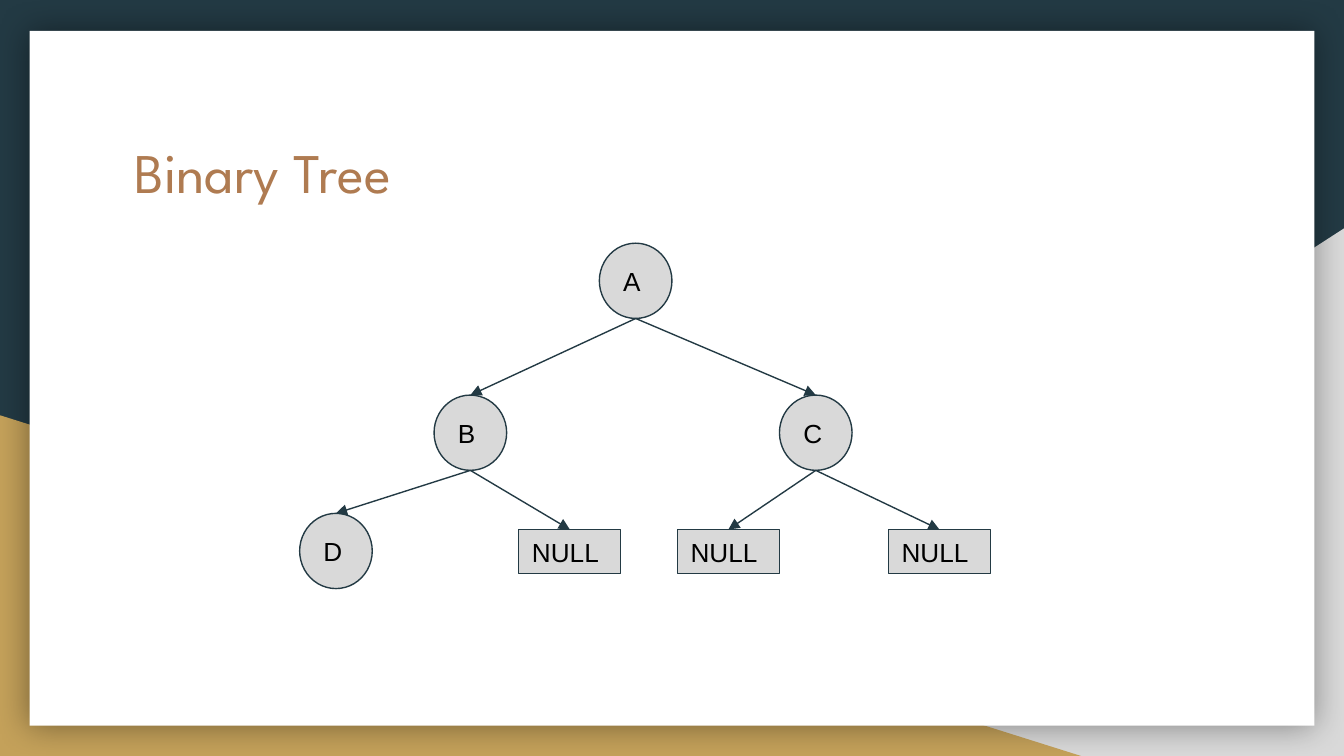
from dataclasses import dataclass
from typing import Optional

from lxml.etree import SubElement
from pptx import Presentation
from pptx.dml.color import RGBColor
from pptx.enum.shapes import MSO_CONNECTOR as Connector, MSO_SHAPE as Shape
from pptx.enum.text import MSO_ANCHOR as Anchor, MSO_AUTO_SIZE as AutoSize, PP_ALIGN as Align
from pptx.oxml.ns import qn
from pptx.util import Inches, Pt

NAVY, GOLD, GREY, WHITE, BLACK, COPPER = "233A44", "C4A15A", "D9D9D9", "FFFFFF", "000000", "AF7B51"
TOP = 0
CIRCLE_SIZE = (0.54, 0.56)
NULL_SIZE = (0.76, 0.33)


@dataclass
class Panel:
    kind: Shape
    left: float
    top: float
    width: float
    height: float
    color: str
    flipped: bool = False


@dataclass
class Node:
    """A tree node, placed by the middle of its top edge."""
    label: str
    x: float
    top: float
    parent: Optional[int] = None

    @property
    def is_null(self) -> bool:
        return self.label == "NULL"

    @property
    def size(self) -> tuple:
        return NULL_SIZE if self.is_null else CIRCLE_SIZE

    @property
    def bottom(self) -> float:
        return self.top + self.size[1]


PANELS = [
    Panel(Shape.RIGHT_TRIANGLE, 3.92, 1.7, 6.08, 3.93, GREY, flipped=True),
    Panel(Shape.RIGHT_TRIANGLE, 0, 3.09, 8.06, 2.54, GOLD),
    Panel(Shape.RECTANGLE, 0.22, 0.23, 9.56, 5.17, WHITE),
]

NODES = [
    Node("A", 4.73, 1.81),
    Node("B", 3.5, 2.94, parent=0),
    Node("C", 6.07, 2.94, parent=0),
    Node("D", 2.5, 3.82, parent=1),
    Node("NULL", 4.24, 3.94, parent=1),
    Node("NULL", 5.42, 3.94, parent=2),
    Node("NULL", 6.99, 3.94, parent=2),
]


def rgb(color: str) -> RGBColor:
    return RGBColor.from_string(color)


def set_text(sp, text: str, size: float, font: str, color: str, anchor: Anchor) -> None:
    tf = sp.text_frame
    frame_format = {"word_wrap": True, "auto_size": AutoSize.NONE, "vertical_anchor": anchor}
    frame_format.update({f"margin_{side}": Inches(0.1) for side in ("left", "top", "right", "bottom")})
    for name, value in frame_format.items():
        setattr(tf, name, value)
    p = tf.paragraphs[0]
    p.alignment = Align.LEFT
    r = p.add_run()
    r.text = text
    for name, value in {"size": Pt(size), "name": font, "bold": False}.items():
        setattr(r.font, name, value)
    r.font.color.rgb = rgb(color)


def add_filled(s, kind: Shape, left: float, top: float, width: float, height: float, color: str):
    sp = s.shapes.add_shape(kind, *map(Inches, (left, top, width, height)))
    sp.shadow.inherit = False
    sp.fill.solid()
    sp.fill.fore_color.rgb = rgb(color)
    sp.line.fill.background()
    return sp


def add_panel(s, panel: Panel):
    sp = add_filled(s, panel.kind, panel.left, panel.top, panel.width, panel.height, panel.color)
    if panel.flipped:
        sp.element.spPr.xfrm.set("flipH", "1")
    return sp


def add_glow_shadow(sp) -> None:
    """Give the shape a soft shadow on all sides."""
    effects = sp.element.spPr.find(qn("a:effectLst"))
    shadow = SubElement(effects, qn("a:outerShdw"), blurRad=str(Pt(18)), dist="0", dir="0",
                        algn="ctr", rotWithShape="0")
    color = SubElement(shadow, qn("a:srgbClr"), val=BLACK)
    SubElement(color, qn("a:alpha"), val="40000")


def set_line(sp) -> None:
    sp.line.color.rgb = rgb(NAVY)
    sp.line.width = Pt(0.75)


def add_node(s, node: Node):
    kind = Shape.RECTANGLE if node.is_null else Shape.OVAL
    width, height = node.size
    sp = add_filled(s, kind, node.x - width / 2, node.top, width, height, GREY)
    set_line(sp)
    set_text(sp, node.label, 14, "Arial", BLACK, Anchor.MIDDLE)
    return sp


def add_edge(s, parent: Node, child: Node, child_shape) -> None:
    ends = (parent.x, parent.bottom, child.x, child.top)
    line = s.shapes.add_connector(Connector.STRAIGHT, *map(Inches, ends))
    line.end_connect(child_shape, TOP)
    set_line(line)
    SubElement(line.line._get_or_add_ln(), qn("a:tailEnd"), type="triangle")
    SubElement(line._element.spPr, qn("a:effectLst"))


def add_title(s, text: str) -> None:
    title = s.shapes.title
    for name, value in {"left": 0.9, "top": 0.92, "width": 8.21, "height": 1.04}.items():
        setattr(title, name, Inches(value))
    set_text(title, text, 30, "League Spartan", COPPER, Anchor.TOP)
    s.shapes.element.append(title.element)  # bring in front of the panels


def main() -> None:
    prs = Presentation()
    prs.slide_width = Inches(10)
    prs.slide_height = prs.slide_width * 9 // 16
    s = prs.slides.add_slide(prs.slide_layouts[5])
    s.background.fill.solid()
    s.background.fill.fore_color.rgb = rgb(NAVY)

    panels = [add_panel(s, panel) for panel in PANELS]
    add_glow_shadow(panels[-1])
    add_title(s, "Binary Tree")

    for node in NODES:
        sp = add_node(s, node)
        if node.parent is not None:
            add_edge(s, NODES[node.parent], node, sp)

    prs.save("out.pptx")


if __name__ == "__main__":
    main()
